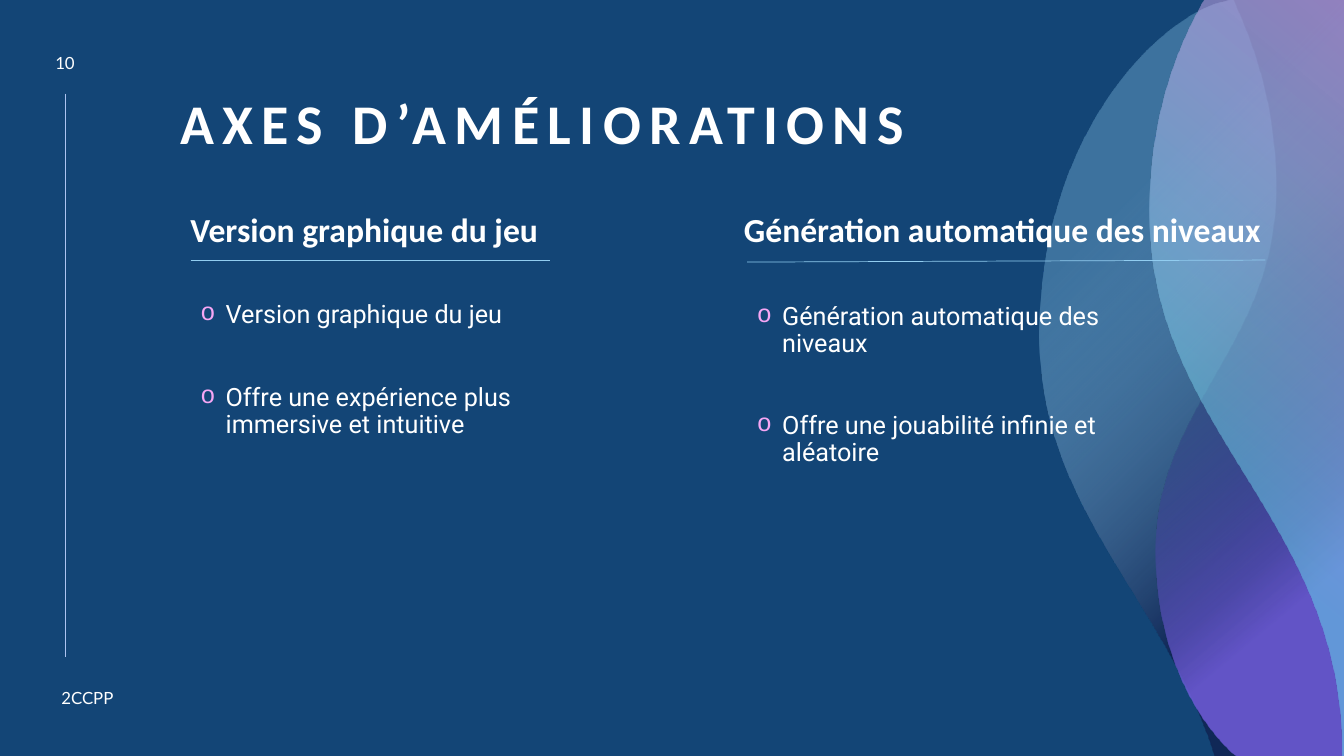
from lxml import etree
from pptx import Presentation
from pptx.dml.color import RGBColor
from pptx.enum.shapes import MSO_CONNECTOR
from pptx.enum.text import MSO_ANCHOR, PP_ALIGN
from pptx.oxml import parse_xml
from pptx.oxml.ns import nsdecls, qn
from pptx.util import Inches, Pt

BACKGROUND, WHITE, PINK, SKY = "134576", "FFFFFF", "F6A6F4", "92CDF0"

TITLE = "AXES D’AMÉLIORATIONS"
PAGE_NUMBER, FOOTER = "10", "2CCPP"
COLUMNS = [
    {"heading": "Version graphique du jeu", "heading_box": (1.79, 2.07, 5.34, 0.54),
     "points": ["Version graphique du jeu",
                "Offre une expérience plus immersive et intuitive"],
     "points_box": (1.89, 2.94, 3.96, 3.49), "gap": 40, "rule": (1.89, 2.58, 5.46, 2.58)},
    {"heading": "Génération automatique des niveaux", "heading_box": (7.28, 2.07, 5.72, 0.54),
     "points": ["Génération automatique des niveaux",
                "Offre une jouabilité infinie et aléatoire"],
     "points_box": (7.41, 2.96, 3.96, 3.34), "gap": 39, "rule": (7.41, 2.6, 12.55, 2.58)},
]
MARGIN_RULE = (0.65, 0.93, 0.65, 6.52)

RADIAL = '<a:path path="circle"><a:fillToRect l="100000" t="100000"/></a:path>'
LINEAR = '<a:lin ang="{}" scaled="0"/>'
RIBBONS = [
    {"outline": [(12.2, 0), (13.33, 0), (13.33, 7.5), (12.04, 7.5), (12.02, 7.43),
                 (11.54, 5.95, 10.31, 5.03, 10.31, 3.34),
                 (10.3, 1.51, 11.32, 0.31, 12.05, 0.04)],
     "stops": [(26, "102857", 100), (73, SKY, 33)], "direction": RADIAL},
    {"outline": [(12.23, 0), (13.33, 0), (13.33, 7.5), (12.26, 7.5), (12.24, 7.49),
                 (11.85, 7.14, 11.46, 6.43, 11.46, 5.46),
                 (11.47, 4.04, 12.63, 3.43, 12.65, 1.92),
                 (12.66, 1.17, 12.48, 0.58, 12.28, 0.12)],
     "stops": [(37, "102857", 28), (79, "765FE1", 80)],
     "direction": LINEAR.format(50 * 60000)},
    {"outline": [(11.94, 0), (13.33, 0), (13.33, 7.5), (13.3, 7.5), (13.3, 7.37),
                 (13.26, 5.14, 11.41, 4.24, 11.4, 2.15),
                 (11.39, 1.36, 11.58, 0.69, 11.85, 0.17)],
     "stops": [(32, "64DFED", 48), (100, PINK, 49)],
     "direction": LINEAR.format(310 * 60000)},
]


def color(value):
    return RGBColor.from_string(value)


def add_text(text, box, size, font, bold=False, tracking=0, align=PP_ALIGN.LEFT,
             anchor=MSO_ANCHOR.TOP, line_spacing=None, gap=0, bullet=None):
    shape = slide.shapes.add_textbox(*map(Inches, box))
    frame = shape.text_frame
    frame.word_wrap = True
    frame.vertical_anchor = anchor
    lines = [text] if isinstance(text, str) else text
    for index, line in enumerate(lines):
        paragraph = frame.paragraphs[0] if index == 0 else frame.add_paragraph()
        paragraph.alignment = align
        paragraph.line_spacing = line_spacing
        paragraph.space_before = Pt(gap if index else 0)
        run = paragraph.add_run()
        run.text = line
        run.font.name, run.font.size, run.font.bold = font, Pt(size), bold
        run.font.color.rgb = color(WHITE)
        if tracking:
            run.font._element.set("spc", str(tracking * 100))
        if bullet:
            properties = paragraph._p.get_or_add_pPr()
            properties.set("marL", str(Inches(0.25)))
            properties.set("indent", str(Inches(-0.25)))
            bullet_color = etree.SubElement(properties, qn("a:buClr"))
            etree.SubElement(bullet_color, qn("a:srgbClr")).set("val", PINK)
            etree.SubElement(properties, qn("a:buFont")).set("typeface", "Courier New")
            etree.SubElement(properties, qn("a:buChar")).set("char", bullet)


def add_rule(ends, line_color):
    rule = slide.shapes.add_connector(MSO_CONNECTOR.STRAIGHT, *map(Inches, ends))
    rule.line.color.rgb = color(line_color)
    rule.line.width = Pt(0.5)
    etree.SubElement(rule._element.spPr, qn("a:effectLst"))


def add_ribbon(outline, stops, direction):
    start, *corners = [tuple(map(Inches, segment[-2:])) for segment in outline]
    builder = slide.shapes.build_freeform(*start)
    builder.add_line_segments(corners, close=True)
    ribbon = builder.convert_to_shape()
    ribbon.shadow.inherit = False
    ribbon.line.fill.background()
    properties = ribbon._element.spPr

    edges = list(properties.iter(qn("a:lnTo")))
    for segment, edge in zip(outline[1:], edges):
        if len(segment) == 6:
            curve = etree.Element(qn("a:cubicBezTo"))
            for x, y in zip(segment[::2], segment[1::2]):
                point = etree.SubElement(curve, qn("a:pt"))
                point.set("x", str(Inches(x) - ribbon.left))
                point.set("y", str(Inches(y) - ribbon.top))
            edge.getparent().replace(edge, curve)

    stop_xml = "".join(
        f'<a:gs pos="{position * 1000}"><a:srgbClr val="{value}">'
        f'<a:alpha val="{opacity * 1000}"/></a:srgbClr></a:gs>'
        for position, value, opacity in stops)
    gradient = parse_xml(f'<a:gradFill rotWithShape="1" {nsdecls("a")}>'
                         f'<a:gsLst>{stop_xml}</a:gsLst>{direction}</a:gradFill>')
    properties.find(qn("a:custGeom")).addnext(gradient)


presentation = Presentation()
presentation.slide_width, presentation.slide_height = Inches(13.33), Inches(7.5)
slide = presentation.slides.add_slide(presentation.slide_layouts[6])
slide.background.fill.solid()
slide.background.fill.fore_color.rgb = color(BACKGROUND)

add_rule(MARGIN_RULE, "ADC3F0")
for ribbon_content in RIBBONS:
    add_ribbon(**ribbon_content)
add_text(TITLE, (1.69, 0.9, 9.71, 1.17), 40, "Calibri", bold=True, tracking=6, line_spacing=0.9)
add_text(PAGE_NUMBER, (0.36, 0.45, 0.57, 0.34), 12, "Lato",
         align=PP_ALIGN.CENTER, anchor=MSO_ANCHOR.MIDDLE)
add_text(FOOTER, (0.51, 6.77, 2.55, 0.3), 12, "Lato", anchor=MSO_ANCHOR.MIDDLE)
for column in COLUMNS:
    add_text(column["heading"], column["heading_box"], 24, "Calibri", bold=True, line_spacing=0.9)
    add_text(column["points"], column["points_box"], 18, "Roboto",
             line_spacing=0.9, gap=column["gap"], bullet="o")
    add_rule(column["rule"], SKY)

presentation.save("out.pptx")
